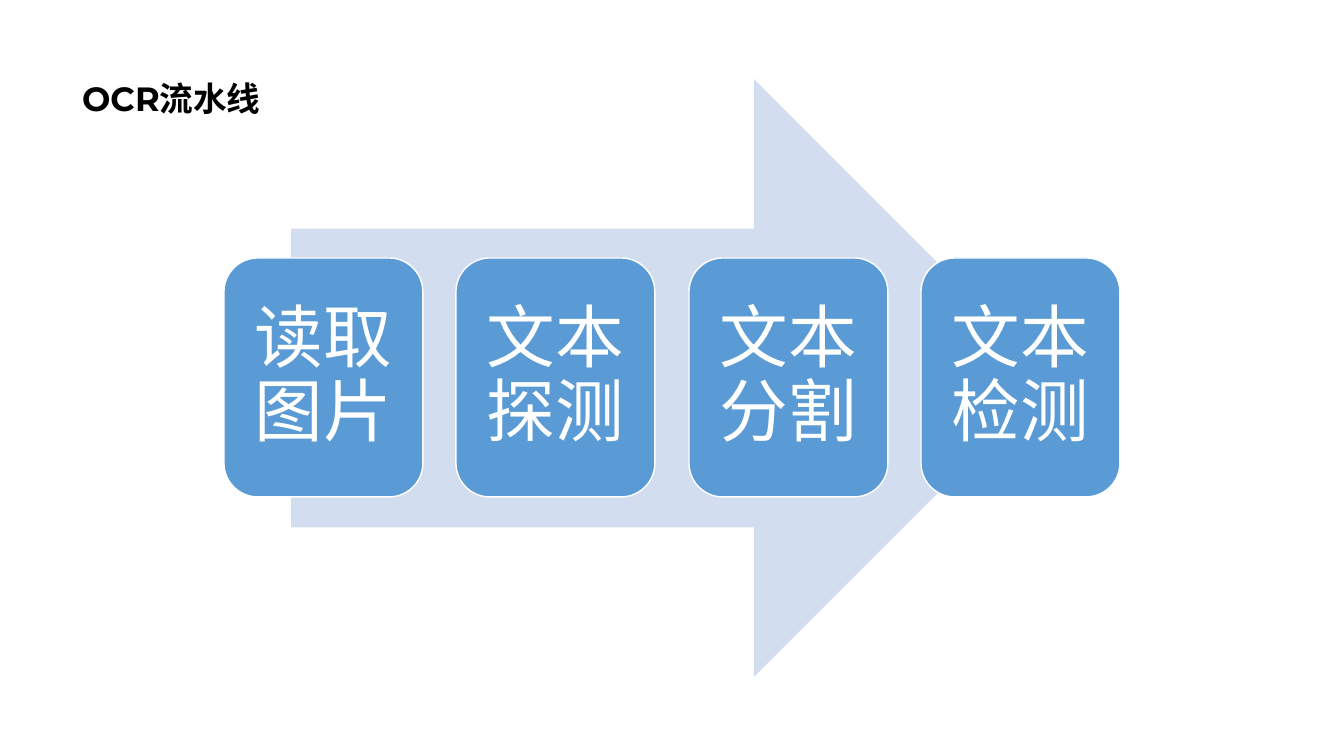
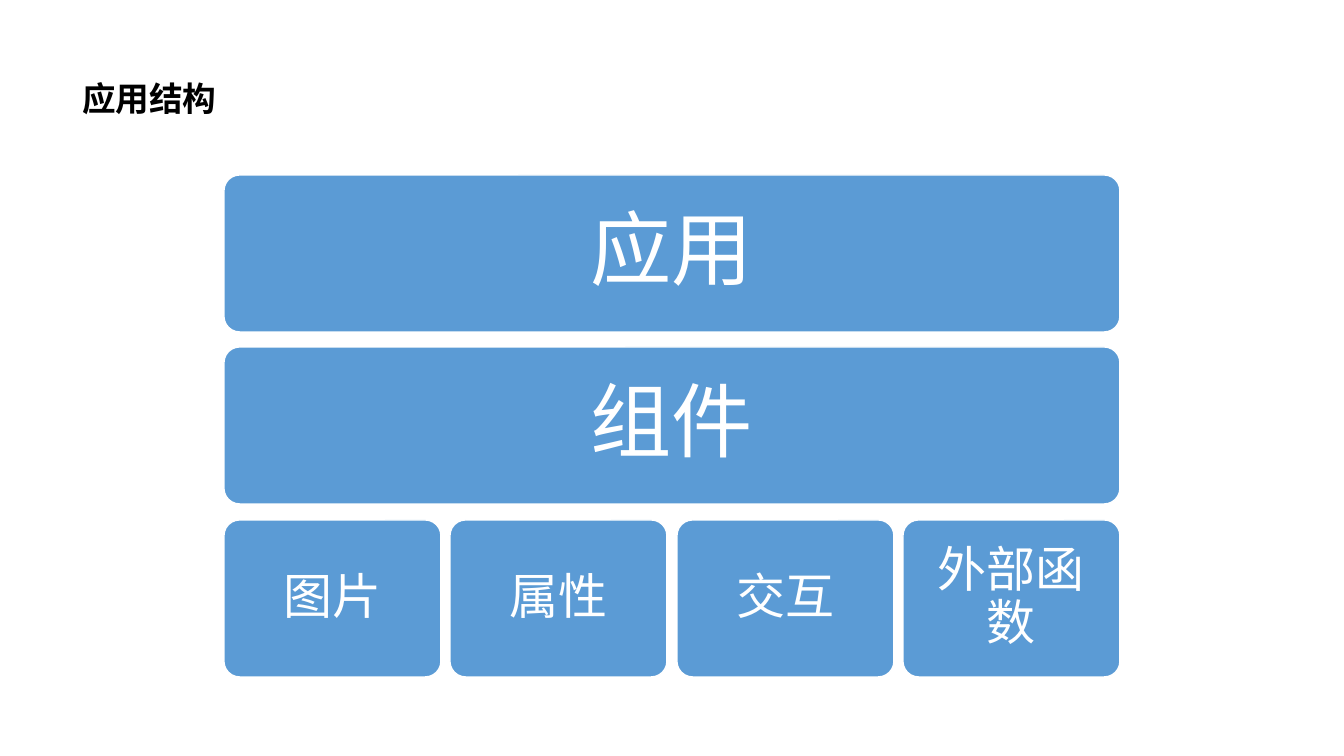
"""Build two slides: an OCR pipeline and an application structure."""
import dataclasses
import typing

import pptx
import pptx.dml.color
import pptx.enum.shapes
import pptx.enum.text
import pptx.oxml.ns
import pptx.util

SLIDE_WIDTH, SLIDE_HEIGHT = 1344, 756
EMU_PER_PIXEL = 12192000 / SLIDE_WIDTH
COLORS = {"title": "000000", "block": "5B9BD5", "arrow": "D2DEEF", "white": "FFFFFF"}
TITLE_FONT, BODY_FONT = "Montserrat", "Arial"
SHAPES = pptx.enum.shapes.MSO_SHAPE
TITLE_ONLY = 5


class Frame(typing.NamedTuple):
    """A rectangle in whole pixels."""
    left: int
    top: int
    width: int
    height: int


@dataclasses.dataclass(frozen=True)
class BlockStyle:
    """Text size in points, inset in pixels and corner ratio of a block."""
    size: int
    inset: int
    corner: float


@dataclasses.dataclass(frozen=True)
class BlockRow:
    """Equal blocks side by side; pitch is the step between left edges."""
    labels: tuple[str, ...]
    first: Frame
    pitch: float
    style: BlockStyle


TITLE_FRAME = Frame(72, 28, 1159, 146)
ARROW_FRAME = Frame(291, 79, 762, 598)
STEP_STYLE = BlockStyle(size=49, inset=10, corner=0.17)
LAYER_STYLE = BlockStyle(size=58, inset=20, corner=0.1)
PART_STYLE = BlockStyle(size=35, inset=10, corner=0.1)

PIPELINE = BlockRow(("读取图片", "文本探测", "文本分割", "文本检测"),
                    Frame(224, 258, 199, 239), 232.4, STEP_STYLE)
LAYERS = (
    BlockRow(("应用",), Frame(224, 175, 896, 157), 0, LAYER_STYLE),
    BlockRow(("组件",), Frame(224, 347, 896, 157), 0, LAYER_STYLE),
    BlockRow(("图片", "属性", "交互", "外部函数"),
             Frame(224, 520, 217, 157), 226.3, PART_STYLE),
)


def emu(pixels: float) -> int:
    """Turn pixels into EMU."""
    return round(pixels * EMU_PER_PIXEL)


def rgb(name: str) -> pptx.dml.color.RGBColor:
    """Look up a named colour."""
    return pptx.dml.color.RGBColor.from_string(COLORS[name])


def apply(target: typing.Any, values: dict[str, typing.Any]) -> None:
    """Set every attribute in values on the target."""
    for name, value in values.items():
        setattr(target, name, value)


def place(frame: Frame) -> dict[str, int]:
    """Give the position attributes of a frame in EMU."""
    return {name: emu(value) for name, value in frame._asdict().items()}


def write(box: typing.Any, text: str, color: str, paragraph: dict[str, typing.Any],
          font: dict[str, typing.Any]) -> None:
    """Write one paragraph, centred vertically, into a box."""
    apply(box.text_frame, {"word_wrap": True,
                           "vertical_anchor": pptx.enum.text.MSO_ANCHOR.MIDDLE})
    para = box.text_frame.paragraphs[0]
    apply(para, {"line_spacing": 0.9, **paragraph})
    span = para.add_run()
    span.text = text
    apply(span.font, font)
    span.font.color.rgb = rgb(color)
    east_asian = span.font._element.makeelement(
        pptx.oxml.ns.qn("a:ea"), {"typeface": font["name"]})
    span.font._element.append(east_asian)


def add_page(deck: typing.Any, title: str) -> typing.Any:
    """Add a title-only page with the shared title style."""
    page = deck.slides.add_slide(deck.slide_layouts[TITLE_ONLY])
    apply(page.shapes.title, place(TITLE_FRAME))
    write(page.shapes.title, title, "title",
          {"alignment": pptx.enum.text.PP_ALIGN.LEFT},
          {"name": TITLE_FONT, "size": pptx.util.Pt(24), "bold": True})
    return page


def add_filled(page: typing.Any, kind: typing.Any, frame: Frame, color: str) -> typing.Any:
    """Add a flat preset shape without an outline."""
    shape = page.shapes.add_shape(kind, **place(frame))
    shape.shadow.inherit = False
    shape.fill.solid()
    shape.fill.fore_color.rgb = rgb(color)
    shape.line.fill.background()
    return shape


def add_block(page: typing.Any, text: str, frame: Frame, style: BlockStyle) -> None:
    """Add a rounded block with a white outline and a centred label."""
    block = add_filled(page, SHAPES.ROUNDED_RECTANGLE, frame, "block")
    block.adjustments[0] = style.corner
    block.line.color.rgb = rgb("white")
    block.line.width = pptx.util.Pt(1)
    sides = ("left", "top", "right", "bottom")
    apply(block.text_frame, {f"margin_{side}": emu(style.inset) for side in sides})
    write(block, text, "white", {"alignment": pptx.enum.text.PP_ALIGN.CENTER},
          {"name": BODY_FONT, "size": pptx.util.Pt(style.size)})


def add_row(page: typing.Any, row: BlockRow) -> None:
    """Add the blocks of a row from left to right."""
    for index, label in enumerate(row.labels):
        left = round(row.first.left + index * row.pitch)
        add_block(page, label, row.first._replace(left=left), row.style)


def build_pipeline(deck: typing.Any) -> None:
    """Build the page of steps on an arrow."""
    page = add_page(deck, "OCR流水线")
    add_filled(page, SHAPES.RIGHT_ARROW, ARROW_FRAME, "arrow")
    add_row(page, PIPELINE)


def build_structure(deck: typing.Any) -> None:
    """Build the page of stacked layers."""
    page = add_page(deck, "应用结构")
    for layer in LAYERS:
        add_row(page, layer)


def main() -> None:
    """Build and save the deck."""
    deck = pptx.Presentation()
    apply(deck, {"slide_width": emu(SLIDE_WIDTH), "slide_height": emu(SLIDE_HEIGHT)})
    build_pipeline(deck)
    build_structure(deck)
    deck.save("out.pptx")


main()
